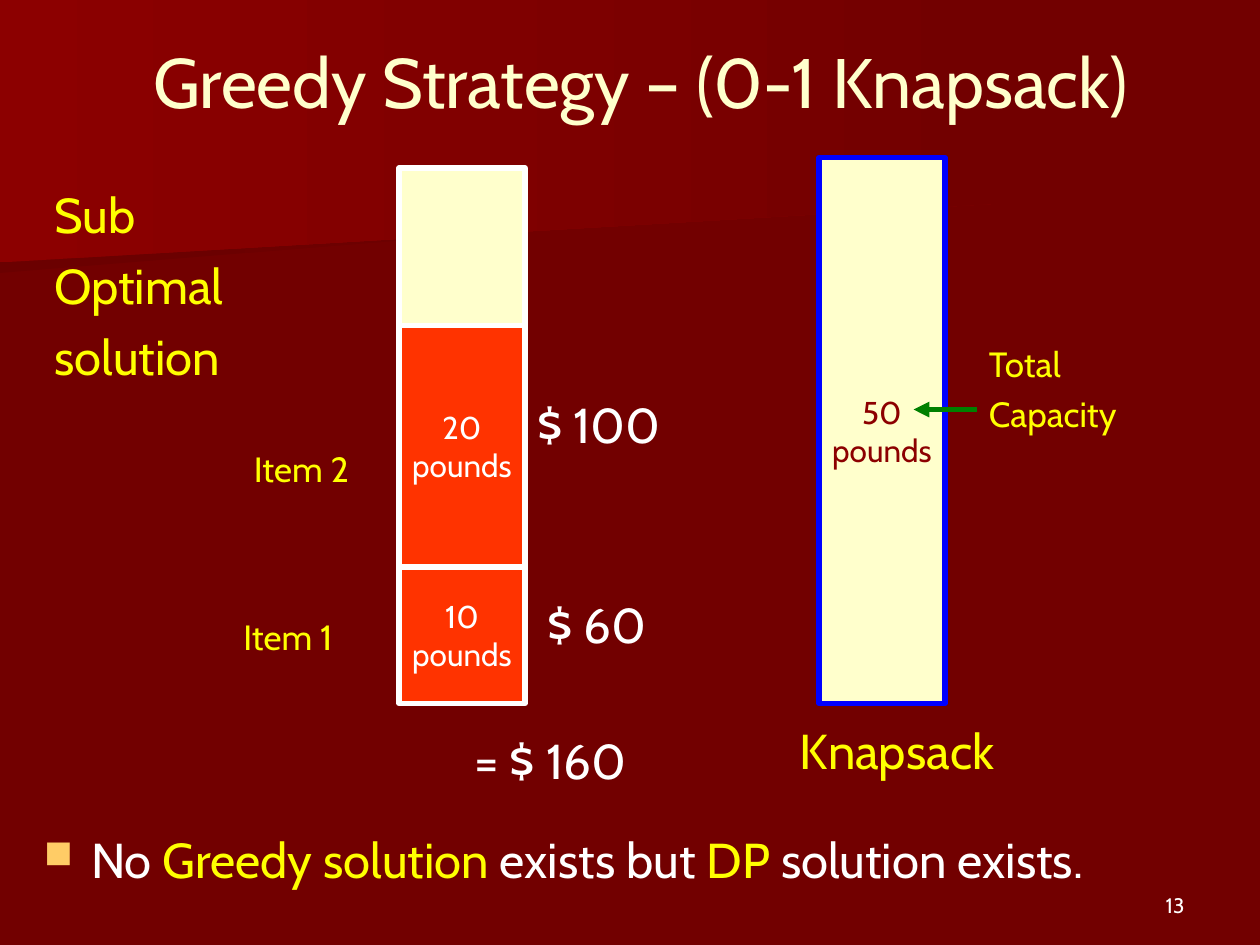
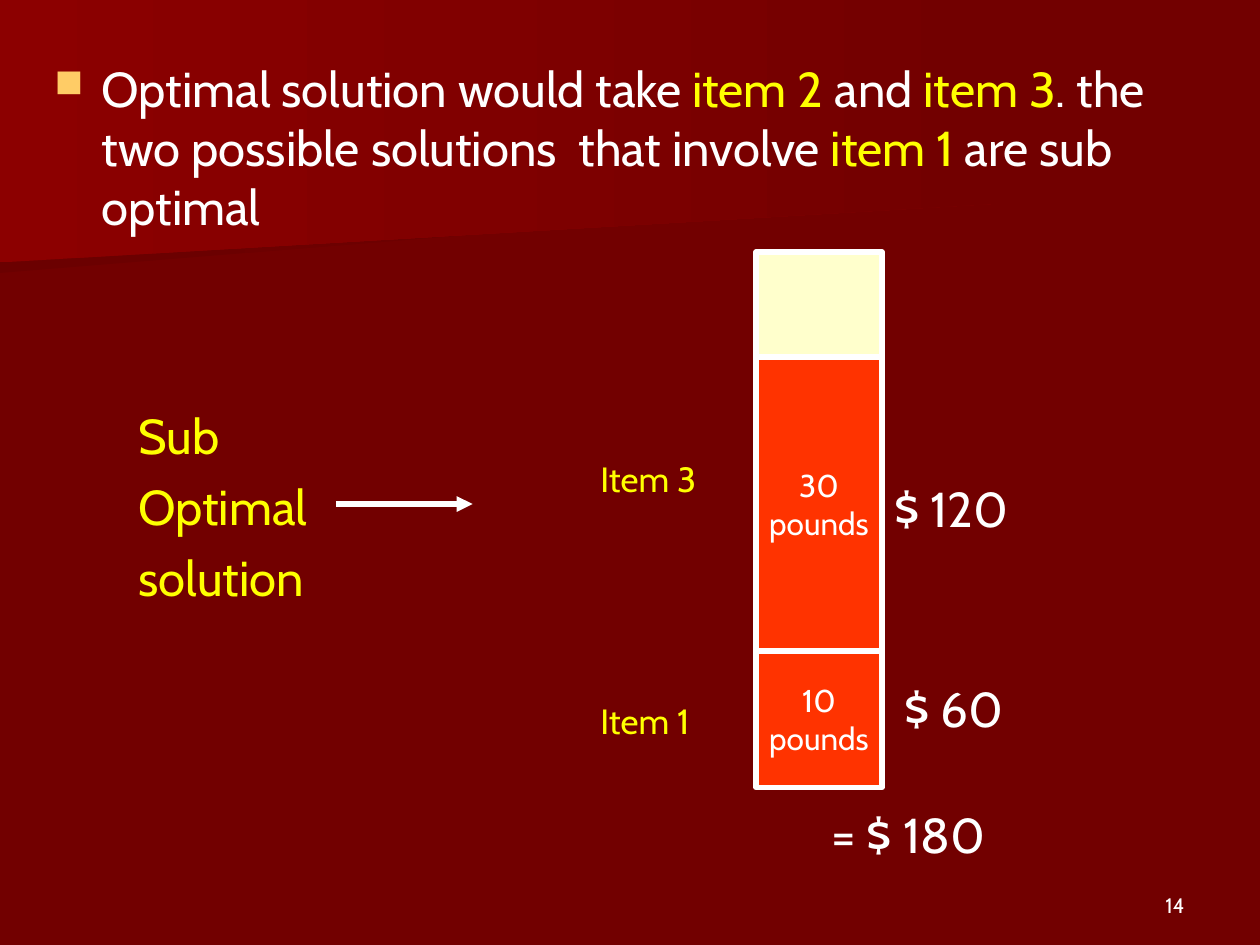
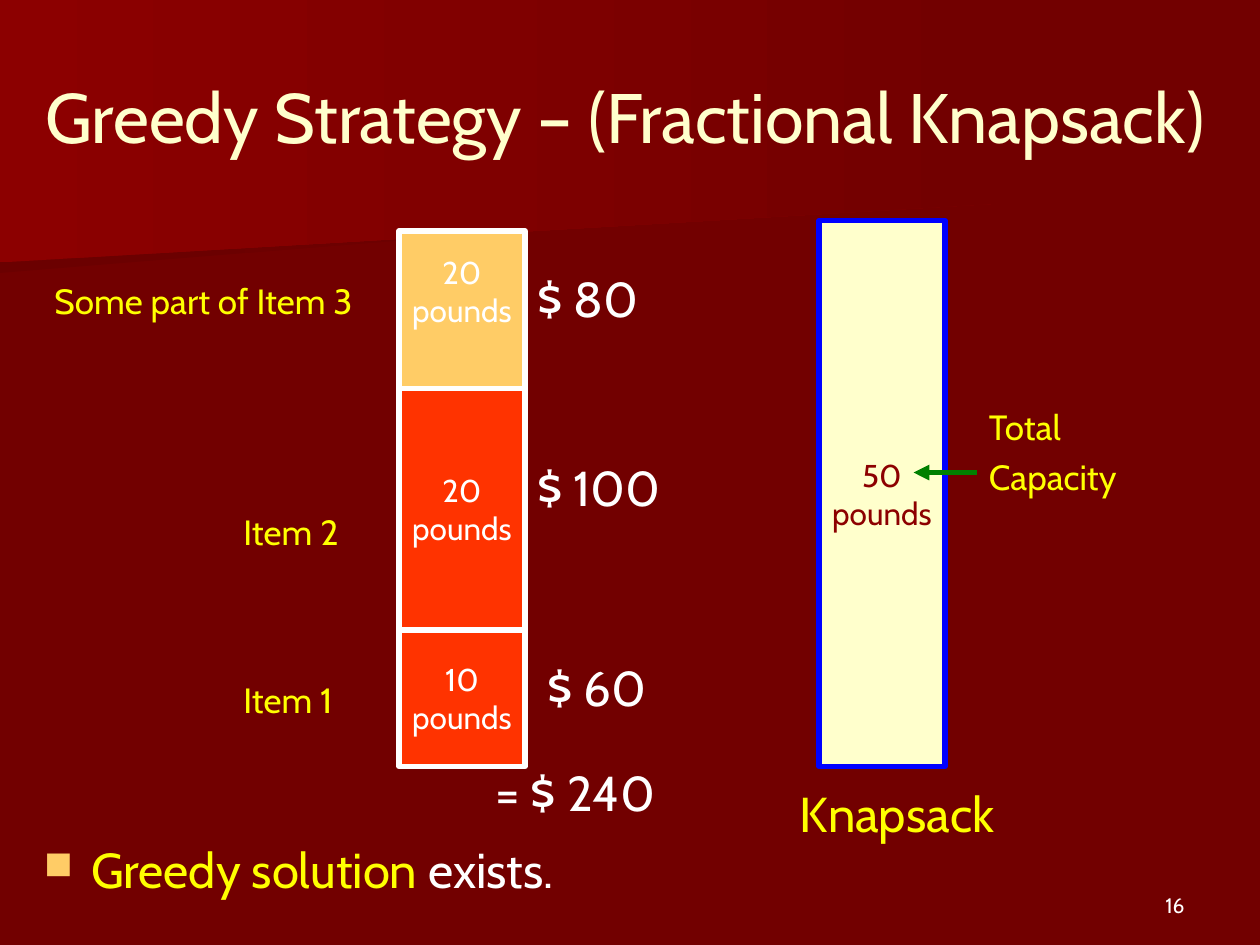
from dataclasses import dataclass, replace

from lxml.etree import SubElement
from pptx import Presentation
from pptx.dml.color import RGBColor
from pptx.enum.shapes import MSO_CONNECTOR, MSO_SHAPE
from pptx.enum.text import MSO_ANCHOR as Anchor, PP_ALIGN as Align
from pptx.oxml.ns import qn
from pptx.shapes.autoshape import Shape
from pptx.slide import Slide
from pptx.text.text import TextFrame, _Paragraph as Paragraph
from pptx.util import Emu, Pt

# Scale: 120 px to the inch
EMU_PER_PX = 7620
PAGE_WIDTH, PAGE_HEIGHT = 1200, 900

# Shared look
FONT = "Cabin"
MAROON = RGBColor(0x72, 0x00, 0x00)
DARK_MAROON = RGBColor(0x6B, 0x00, 0x00)
RED = RGBColor(0x8C, 0x00, 0x00)
ORANGE_RED = RGBColor(0xFF, 0x33, 0x00)
AMBER = RGBColor(0xFF, 0xCC, 0x66)
CREAM = RGBColor(0xFF, 0xFF, 0xCC)
YELLOW = RGBColor(0xFF, 0xFF, 0x00)
WHITE = RGBColor(0xFF, 0xFF, 0xFF)
BLUE = RGBColor(0x00, 0x00, 0xFF)
GREEN = RGBColor(0x00, 0x80, 0x00)

INSET_X, INSET_Y = 12, 6
HANGING = 45
LINE_HEIGHT = 70
STACK_HEIGHT, STACK_WIDTH = 510, 120
SPACE_HEIGHT = 150


@dataclass(frozen=True)
class Band:
    points: tuple[tuple[int, int], ...]
    start: RGBColor


@dataclass(frozen=True)
class Label:
    left: int
    top: int
    width: int
    text: str
    size: int = 28
    color: RGBColor = WHITE
    height: int = LINE_HEIGHT

    def moved(self, left: int, top: int) -> "Label":
        return replace(self, left=self.left + left, top=self.top + top)


@dataclass(frozen=True)
class Block:
    """One item in a stack; its labels are placed from its top left corner."""
    height: int
    text: str = ""
    fill: RGBColor = ORANGE_RED
    labels: tuple[Label, ...] = ()
    bottom_inset: int = INSET_Y


BANDS = (
    Band(((934, 184), (0, 260), (0, 121), (935, 121), (934, 154)), DARK_MAROON),
    Band(((950, 194), (0, 250), (0, 0), (950, 0)), RED),
)


def px(length: int) -> Emu:
    return Emu(length * EMU_PER_PX)


# Text
def style_font(para: Paragraph, size: int, color: RGBColor) -> None:
    para.font.name = FONT
    para.font.size = Pt(size)
    para.font.color.rgb = color


def hang(para: Paragraph) -> None:
    properties = para._p.get_or_add_pPr()
    properties.set("marL", str(px(HANGING)))
    properties.set("indent", str(px(-HANGING)))


def set_frame(frame: TextFrame, anchor: Anchor, wrap: bool,
              bottom_inset: int = INSET_Y) -> None:
    frame.word_wrap = wrap
    frame.vertical_anchor = anchor
    frame.margin_left = frame.margin_right = px(INSET_X)
    frame.margin_top, frame.margin_bottom = px(INSET_Y), px(bottom_inset)


def add_box(page: Slide, left: int, top: int, width: int, height: int,
            anchor: Anchor = Anchor.TOP) -> TextFrame:
    box = page.shapes.add_textbox(px(left), px(top), px(width), px(height))
    set_frame(box.text_frame, anchor, True)
    return box.text_frame


def write_lines(frame: TextFrame, text: str, size: int, color: RGBColor,
                align: Align) -> None:
    frame.text = text
    for para in frame.paragraphs:
        para.alignment = align
        style_font(para, size, color)


def add_label(page: Slide, label: Label) -> None:
    frame = add_box(page, label.left, label.top, label.width, label.height)
    write_lines(frame, label.text, label.size, label.color, Align.LEFT)
    for para in frame.paragraphs:
        hang(para)
        para.space_before = Pt(label.size // 4)


def add_title(page: Slide, text: str, left: int, width: int, height: int) -> None:
    frame = add_box(page, left, 30, width, height, Anchor.MIDDLE)
    write_lines(frame, text, 40, CREAM, Align.CENTER)


def add_bullet(page: Slide, left: int, top: int, width: int, height: int,
               spans: list[tuple[str, RGBColor]], spacing: float = 1.0) -> None:
    para = add_box(page, left, top, width, height).paragraphs[0]
    hang(para)
    properties = para._p.get_or_add_pPr()
    color = SubElement(properties, qn("a:buClr"))
    SubElement(color, qn("a:srgbClr"), val=str(AMBER))
    SubElement(properties, qn("a:buSzPct"), val="80000")
    SubElement(properties, qn("a:buChar"), char="■")
    para.line_spacing = spacing
    para.space_before = Pt(7)
    style_font(para, 28, WHITE)
    for text, span_color in spans:
        span = para.add_run()
        span.text = text
        span.font.color.rgb = span_color


# Shapes
def add_bar(page: Slide, left: int, top: int, width: int, height: int,
            fill: RGBColor, line: RGBColor) -> Shape:
    bar = page.shapes.add_shape(MSO_SHAPE.RECTANGLE, px(left), px(top),
                                px(width), px(height))
    bar.shadow.inherit = False
    bar.fill.solid()
    bar.fill.fore_color.rgb = fill
    bar.line.color.rgb = line
    bar.line.width = Pt(3)
    return bar


def add_arrow(page: Slide, start: int, end: int, y: int, color: RGBColor) -> None:
    arrow = page.shapes.add_connector(MSO_CONNECTOR.STRAIGHT, px(start), px(y),
                                      px(end), px(y))
    arrow.line.color.rgb = color
    arrow.line.width = Pt(3)
    SubElement(arrow.line._get_or_add_ln(), qn("a:tailEnd"), type="triangle")
    SubElement(arrow._element.spPr, qn("a:effectLst"))


def add_band(page: Slide, band: Band) -> None:
    builder = page.shapes.build_freeform(*band.points[0], scale=EMU_PER_PX)
    builder.add_line_segments(band.points[1:], close=True)
    shape = builder.convert_to_shape()
    shape.shadow.inherit = False
    shape.line.fill.background()
    shape.fill.gradient()
    shape.fill.gradient_angle = 0
    for stop, color in zip(shape.fill.gradient_stops, (band.start, MAROON)):
        stop.color.rgb = color


# Diagram parts
def add_block(page: Slide, left: int, top: int, block: Block) -> None:
    bar = add_bar(page, left, top, STACK_WIDTH, block.height, block.fill, WHITE)
    if block.text:
        set_frame(bar.text_frame, Anchor.MIDDLE, False, block.bottom_inset)
        write_lines(bar.text_frame, block.text, 18, WHITE, Align.CENTER)
    for label in block.labels:
        add_label(page, label.moved(left, top))


def add_stack(page: Slide, left: int, bottom: int, top_block: Block,
              items: list[Block]) -> None:
    """Draw the top block, then pile the items up from the bottom."""
    add_block(page, left, bottom - STACK_HEIGHT, top_block)
    top = bottom
    for item in items:
        top -= item.height
        add_block(page, left, top, item)


def add_knapsack(page: Slide, top: int) -> None:
    bar = add_bar(page, 780, top, 120, 520, CREAM, BLUE)
    set_frame(bar.text_frame, Anchor.MIDDLE, False)
    write_lines(bar.text_frame, "50\npounds", 18, RED, Align.CENTER)
    add_label(page, Label(750, top + 530, 220, "Knapsack", color=YELLOW))
    add_label(page, Label(930, top + 170, 160, "Total\nCapacity", 20, YELLOW, 110))
    add_arrow(page, 930, 870, top + 240, GREEN)


def add_sub_optimal(page: Slide, left: int, top: int) -> None:
    add_label(page, Label(left, top, 190, "Sub\nOptimal\nsolution",
                          color=YELLOW, height=210))


def add_total(page: Slide, left: int, top: int, text: str) -> None:
    add_label(page, Label(left, top, 210, text))


def name_label(left: int, top: int, width: int, text: str) -> Label:
    return Label(left, top, width, text, 20, YELLOW)


def item_2(name_left: int) -> Block:
    return Block(230, "20\npounds", labels=(
        name_label(name_left, 110, 150, "Item 2"), Label(120, 60, 160, "$ 100")))


FREE_SPACE = Block(SPACE_HEIGHT, fill=CREAM)
ITEM_1 = Block(130, "10\npounds", labels=(
    name_label(-160, 40, 130, "Item 1"), Label(130, 20, 120, "$ 60")))
ITEM_3 = Block(280, "30\npounds", labels=(
    name_label(-160, 90, 150, "Item 3"), Label(120, 110, 160, "$ 120")))
PART_OF_ITEM_3 = Block(SPACE_HEIGHT, "20\npounds", AMBER, (
    name_label(-340, 40, 340, "Some part of Item 3"),
    Label(120, 30, 160, "$ 80")), bottom_inset=42)


# Slides
def add_page(deck: Presentation, number: int) -> Slide:
    page = deck.slides.add_slide(deck.slide_layouts[6])
    for band in BANDS:
        add_band(page, band)
    frame = add_box(page, 860, 820, 280, 60, Anchor.BOTTOM)
    write_lines(frame, str(number), 12, WHITE, Align.RIGHT)
    return page


def build_zero_one(deck: Presentation) -> None:
    page = add_page(deck, 13)
    add_title(page, "Greedy Strategy – (0-1 Knapsack)", 70, 1080, 94)
    add_knapsack(page, 150)
    add_stack(page, 380, 670, FREE_SPACE, [ITEM_1, item_2(-150)])
    add_total(page, 440, 690, "= $ 160")
    add_bullet(page, 30, 790, 1140, 70, [
        ("No ", WHITE), ("Greedy solution", YELLOW), (" exists but ", WHITE),
        ("DP", YELLOW), (" solution exists.", WHITE)], spacing=0.9)
    add_sub_optimal(page, 40, 170)


def build_optimal(deck: Presentation) -> None:
    page = add_page(deck, 14)
    add_bullet(page, 40, 50, 1120, 200, [
        ("Optimal solution would take ", WHITE), ("item 2", YELLOW),
        (" and ", WHITE), ("item 3", YELLOW),
        (". the two possible solutions  that involve ", WHITE),
        ("item 1", YELLOW), (" are sub optimal", WHITE)])
    add_stack(page, 720, 750, FREE_SPACE, [ITEM_1, ITEM_3])
    add_total(page, 780, 760, "= $ 180")
    add_sub_optimal(page, 120, 380)
    add_arrow(page, 320, 450, 480, WHITE)


def build_fractional(deck: Presentation) -> None:
    page = add_page(deck, 16)
    add_title(page, "Greedy Strategy – (Fractional Knapsack)", 30, 1130, 160)
    add_knapsack(page, 210)
    add_stack(page, 380, 730, PART_OF_ITEM_3, [ITEM_1, item_2(-160)])
    add_total(page, 460, 720, "= $ 240")
    add_bullet(page, 30, 800, 1140, 70, [
        ("Greedy solution", YELLOW), (" exists.", WHITE)], spacing=0.9)


def main() -> None:
    deck = Presentation()
    deck.slide_width, deck.slide_height = px(PAGE_WIDTH), px(PAGE_HEIGHT)
    background = deck.slide_master.background.fill
    background.solid()
    background.fore_color.rgb = MAROON
    build_zero_one(deck)
    build_optimal(deck)
    build_fractional(deck)
    deck.save("out.pptx")


if __name__ == "__main__":
    main()
